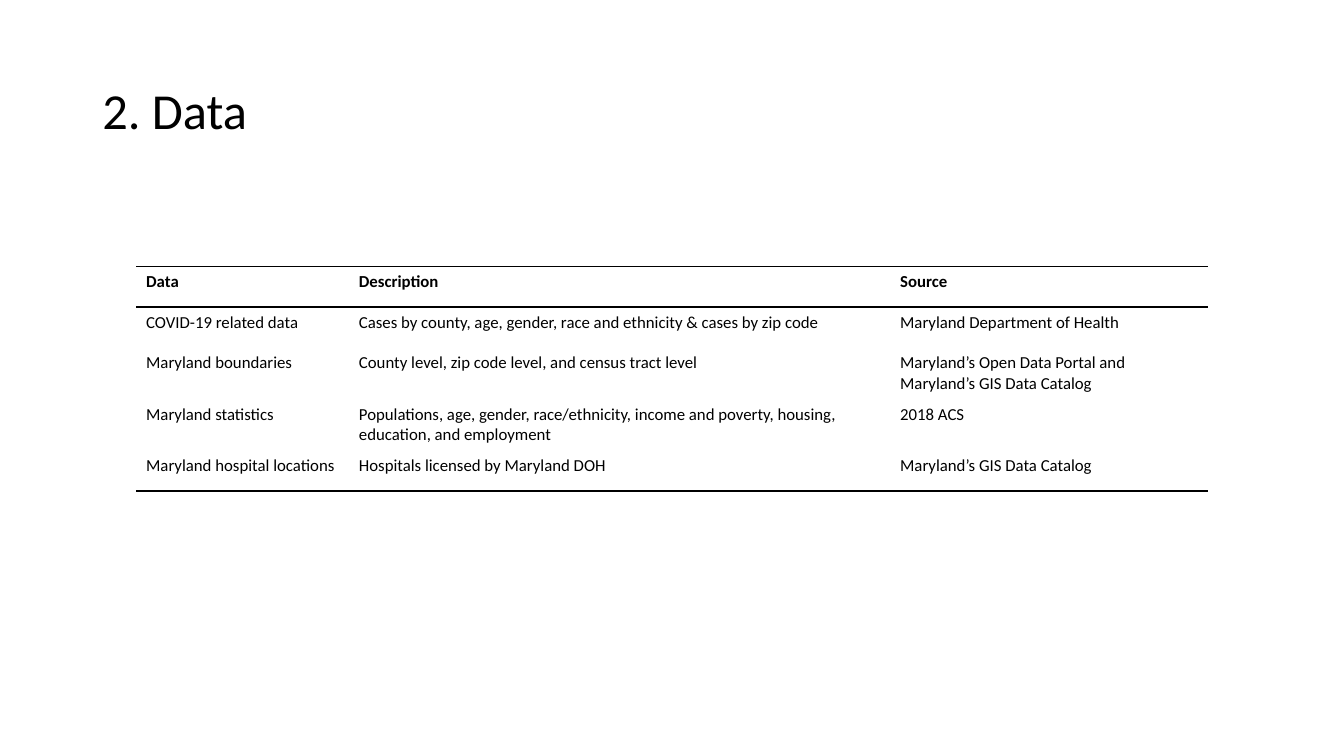
from lxml.etree import SubElement
from pptx import Presentation
from pptx.dml.color import RGBColor
from pptx.enum.text import MSO_ANCHOR as Anchor
from pptx.oxml.ns import qn
from pptx.util import Pt

BLACK = "000000"
BORDER_WIDTH = Pt(1)


def style_text(frame, size, bold=False):
    for run in frame.paragraphs[0].runs:
        run.font.name = "Calibri"
        run.font.size = Pt(size)
        run.font.bold = bold
        run.font.color.rgb = RGBColor.from_string(BLACK)


def set_borders(cell, ruled_edges):
    properties = cell._tc.get_or_add_tcPr()
    for edge in ("lnL", "lnR", "lnT", "lnB"):
        border = SubElement(properties, qn(f"a:{edge}"), w=str(BORDER_WIDTH))
        if edge in ruled_edges:
            ink = SubElement(border, qn("a:solidFill"))
            SubElement(ink, qn("a:srgbClr"), val=BLACK)
        else:
            SubElement(border, qn("a:noFill"))


deck = Presentation()
deck.slide_width = Pt(960)
deck.slide_height = Pt(540)
slide = deck.slides.add_slide(deck.slide_layouts[6])

heading = slide.shapes.add_textbox(Pt(66), Pt(28.75), Pt(828), Pt(104.4)).text_frame
heading.word_wrap = True
heading.vertical_anchor = Anchor.MIDDLE
heading.text = "2. Data"
heading.paragraphs[0].line_spacing = 0.9
style_text(heading, 36)

datasets = [
    ("Data", "Description", "Source"),
    ("COVID-19 related data",
     "Cases by county, age, gender, race and ethnicity & cases by zip code",
     "Maryland Department of Health"),
    ("Maryland boundaries",
     "County level, zip code level, and census tract level",
     "Maryland’s Open Data Portal and Maryland’s GIS Data Catalog"),
    ("Maryland statistics",
     "Populations, age, gender, race/ethnicity, income and poverty, housing, "
     "education, and employment",
     "2018 ACS"),
    ("Maryland hospital locations",
     "Hospitals licensed by Maryland DOH",
     "Maryland’s GIS Data Catalog"),
]
column_widths = [152, 386.6, 226.8]
row_heights = [29.25, 29.25, 36.5, 36.5, 29.25]
ruled_edges_by_row = {0: ("lnT", "lnB"), 1: ("lnT",), len(datasets) - 1: ("lnB",)}

data_table = slide.shapes.add_table(
    len(datasets), len(column_widths), Pt(97.2), Pt(190.1),
    Pt(sum(column_widths)), Pt(sum(row_heights))).table
data_table.first_row = False
data_table.horz_banding = False
for column, width in zip(data_table.columns, column_widths):
    column.width = Pt(width)

for row_index, dataset in enumerate(datasets):
    data_table.rows[row_index].height = Pt(row_heights[row_index])
    for column_index, entry in enumerate(dataset):
        cell = data_table.cell(row_index, column_index)
        cell.text_frame.text = entry
        style_text(cell.text_frame, 12, bold=row_index == 0)
        set_borders(cell, ruled_edges_by_row.get(row_index, ()))
        cell.fill.background()

deck.save("out.pptx")
